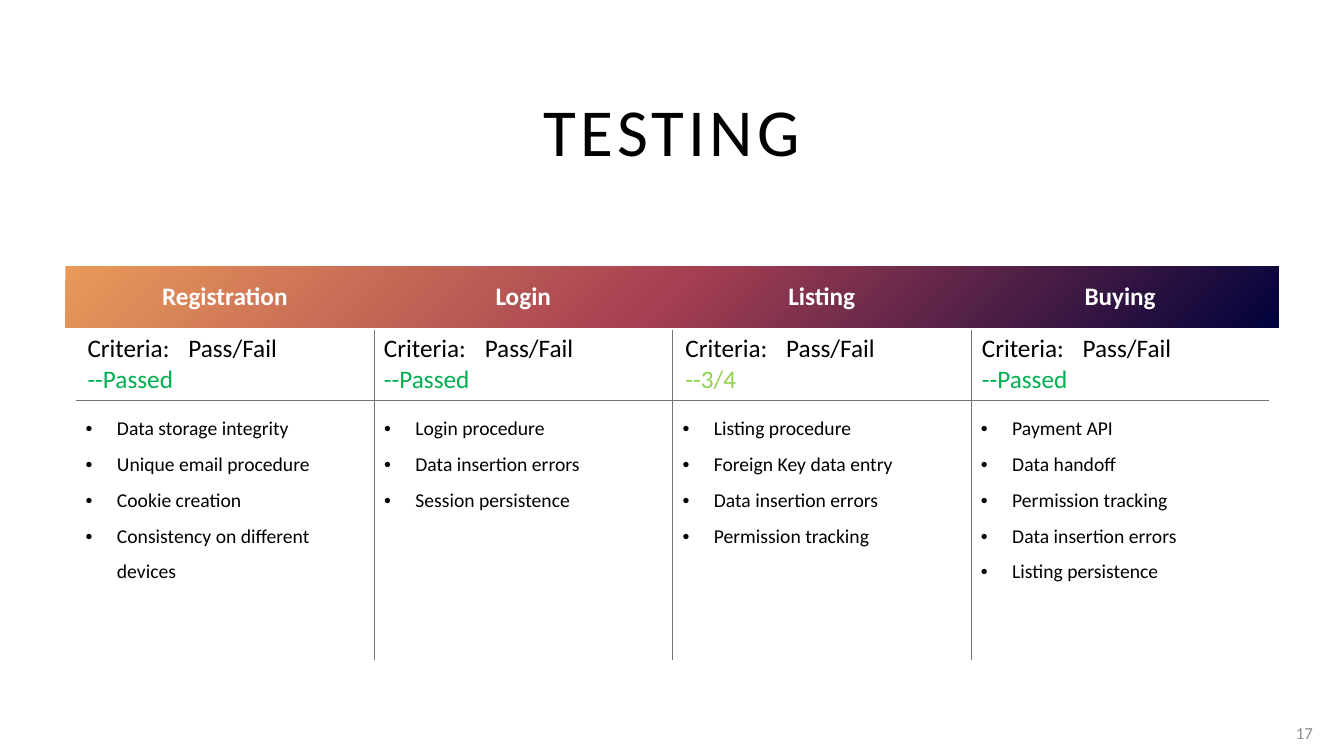
from lxml import etree
from pptx import Presentation
from pptx.dml.color import RGBColor
from pptx.enum.shapes import MSO_SHAPE
from pptx.enum.text import MSO_ANCHOR, PP_ALIGN
from pptx.oxml import parse_xml
from pptx.oxml.ns import nsdecls, qn
from pptx.util import Inches, Pt

RECTANGLE = MSO_SHAPE.RECTANGLE
MIDDLE, TOP = MSO_ANCHOR.MIDDLE, MSO_ANCHOR.TOP
LEFT, CENTER, RIGHT = PP_ALIGN.LEFT, PP_ALIGN.CENTER, PP_ALIGN.RIGHT

COLORS = {
    "black": "000000", "white": "FFFFFF", "rule": "767171", "number": "8C8C8C",
    "passed": "00B050", "partial": "92D050",
    "navy": "01023B", "crimson": "A53F52", "orange": "E9995A",
}
AREAS = [
    ("Registration", 0.77, "--Passed", "passed",
     ["Data storage integrity", "Unique email procedure", "Cookie creation",
      "Consistency on different devices"]),
    ("Login", 3.71, "--Passed", "passed",
     ["Login procedure", "Data insertion errors", "Session persistence"]),
    ("Listing", 6.7, "--3/4", "partial",
     ["Listing procedure", "Foreign Key data entry", "Data insertion errors",
      "Permission tracking"]),
    ("Buying", 9.64, "--Passed", "passed",
     ["Payment API", "Data handoff", "Permission tracking",
      "Data insertion errors", "Listing persistence"]),
]
SPAN = 3
COLUMNS = SPAN * len(AREAS)


def write(frame, lines, size, colors=("black",), align=LEFT, bold=False,
          spacing=None, bullet=False, tracking=None):
    for i, line in enumerate(lines):
        paragraph = frame.paragraphs[0] if i == 0 else frame.add_paragraph()
        paragraph.alignment = align
        run = paragraph.add_run()
        run.text = line
        run.font.name = "Calibri"
        run.font.size = Pt(size)
        run.font.bold = bold
        run.font.color.rgb = RGBColor.from_string(COLORS[colors[min(i, len(colors) - 1)]])
        if spacing:
            paragraph.line_spacing = spacing
        if tracking:
            run.font._element.set("spc", str(tracking * 100))
        if bullet:
            properties = paragraph._p.get_or_add_pPr()
            properties.set("marL", str(Inches(0.31)))
            properties.set("indent", str(-Inches(0.31)))
            etree.SubElement(properties, qn("a:buFont")).set("typeface", "Arial")
            etree.SubElement(properties, qn("a:buChar")).set("char", "•")


def set_borders(cell, sides):
    properties = cell._tc.get_or_add_tcPr()
    for side in "LRTB":
        line = etree.SubElement(properties, qn(f"a:ln{side}"))
        if side in sides:
            line.set("w", str(Pt(0.25)))
            fill = etree.SubElement(line, qn("a:solidFill"))
            etree.SubElement(fill, qn("a:srgbClr")).set("val", COLORS["rule"])
        else:
            line.set("w", "0")
            etree.SubElement(line, qn("a:noFill"))
    cell.fill.background()


prs = Presentation()
prs.slide_width, prs.slide_height = Inches(13.33), Inches(7.5)
slide = prs.slides.add_slide(prs.slide_layouts[5])

title = slide.shapes.title
title.left, title.top, title.width, title.height = map(Inches, (0.65, 0.84, 12.03, 0.9))
title.text_frame.vertical_anchor = MIDDLE
write(title.text_frame, ["TESTING"], 48, align=CENTER, tracking=3)

header_band = slide.shapes.add_shape(
    RECTANGLE, Inches(0.65), Inches(2.64), Inches(12.03), Inches(0.61))
header_band.shadow.inherit = False
header_band.line.fill.background()
stops = "".join(
    f'<a:gs pos="{position}"><a:srgbClr val="{COLORS[name]}"/></a:gs>'
    for position, name in ((0, "navy"), (50000, "crimson"), (100000, "orange")))
gradient = parse_xml(
    f'<a:gradFill {nsdecls("a")} rotWithShape="1"><a:gsLst>{stops}</a:gsLst>'
    '<a:path path="circle"><a:fillToRect l="100000" t="100000"/></a:path>'
    '<a:tileRect r="-100000" b="-100000"/></a:gradFill>')
header_band._element.spPr.find(qn("a:prstGeom")).addnext(gradient)

tests = slide.shapes.add_table(
    3, COLUMNS, Inches(0.75), Inches(2.63), Inches(11.84), Inches(3.92)).table
tests.first_row = tests.horz_banding = False
for row, height in zip(tests.rows, (0.64, 0.7, 2.58)):
    row.height = Inches(height)
for column in tests.columns:
    column.width = Inches(11.84 / COLUMNS)

for c in range(COLUMNS):
    dividers = ""
    if c % SPAN == 0 and c > 0:
        dividers = "L"
    elif c % SPAN == SPAN - 1 and c < COLUMNS - 1:
        dividers = "R"
    set_borders(tests.cell(0, c), "")
    set_borders(tests.cell(1, c), dividers + "B")
    set_borders(tests.cell(2, c), dividers + "T")

for i, (area, criteria_left, result, result_color, checks) in enumerate(AREAS):
    first, last = i * SPAN, i * SPAN + SPAN - 1
    heading, checklist = tests.cell(0, first), tests.cell(2, first)
    heading.merge(tests.cell(0, last))
    checklist.merge(tests.cell(2, last))
    heading.vertical_anchor = MIDDLE
    checklist.vertical_anchor = TOP
    write(heading.text_frame, [area], 18, ["white"], CENTER, bold=True)
    write(checklist.text_frame, checks, 14, spacing=1.5, bullet=True)

    criteria = slide.shapes.add_textbox(
        Inches(criteria_left), Inches(3.25), Inches(2.94), Inches(0.71)).text_frame
    criteria.word_wrap = True
    write(criteria, ["Criteria:\tPass/Fail", result], 18, ["black", result_color])

page_number = slide.shapes.add_textbox(
    Inches(12.63), Inches(7.07), Inches(0.49), Inches(0.4)).text_frame
page_number.word_wrap = True
page_number.vertical_anchor = MIDDLE
write(page_number, ["17"], 12, ["number"], RIGHT)

prs.save("out.pptx")
